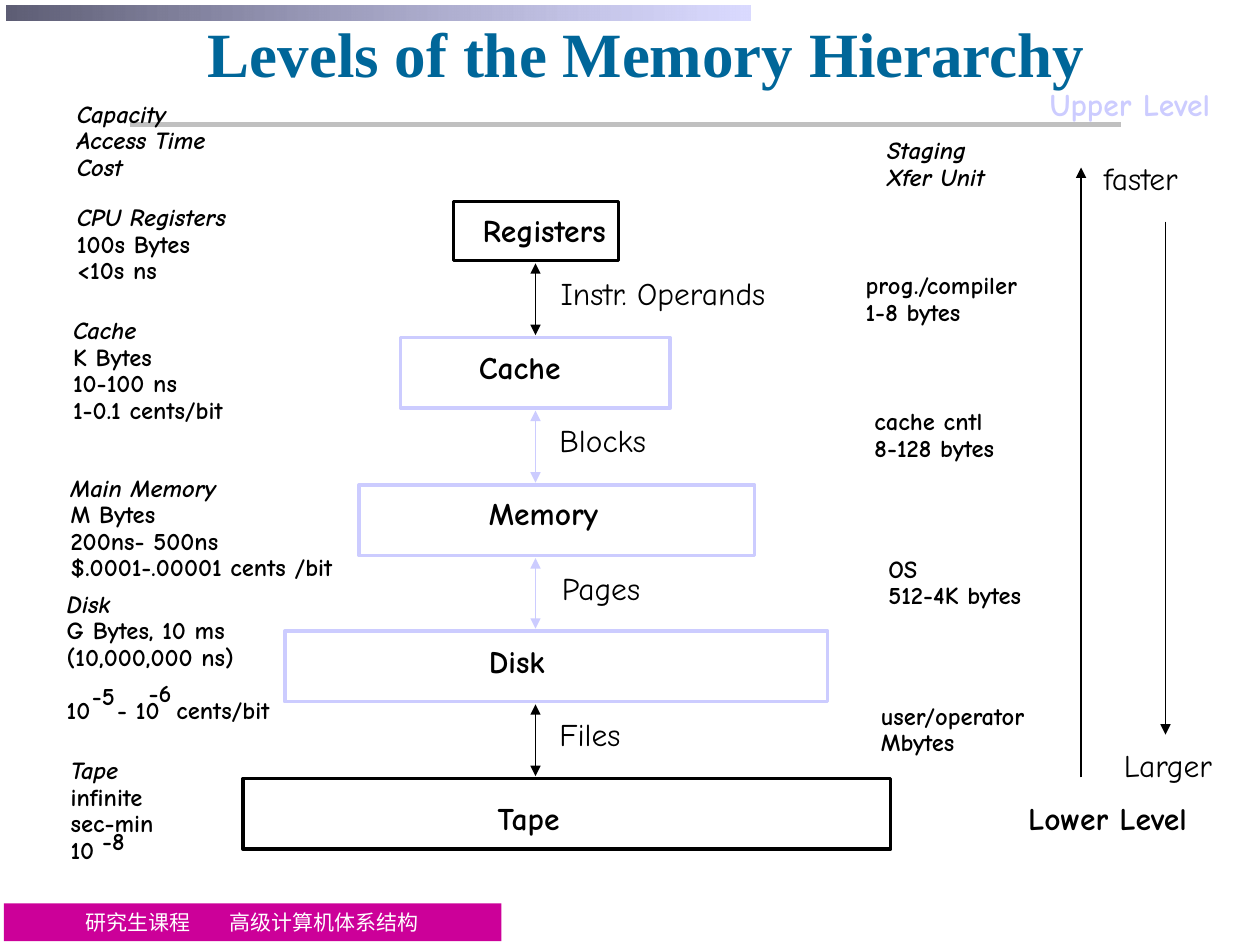
from lxml.etree import SubElement
from pptx import Presentation
from pptx.dml.color import RGBColor
from pptx.enum.shapes import MSO_CONNECTOR, MSO_SHAPE
from pptx.enum.text import MSO_ANCHOR, MSO_AUTO_SIZE, PP_ALIGN
from pptx.oxml.ns import qn
from pptx.util import Pt

SCALE = 9144  # EMU per px, 100 px to the inch
TEXT_SLACK = 8  # spare width that keeps every line whole
BLACK = RGBColor(0x00, 0x00, 0x00)
WHITE = RGBColor(0xFF, 0xFF, 0xFF)
LAVENDER = RGBColor(0xCC, 0xCC, 0xFF)
SLATE = RGBColor(0x5E, 0x5E, 0x75)
SILVER = RGBColor(0xC0, 0xC0, 0xC0)
MAGENTA = RGBColor(0xCC, 0x00, 0x99)
TEAL = RGBColor(0x00, 0x66, 0x99)
HAND_FONT = "Comic Neue"
SERIF_FONT = "Times New Roman"


def px(*lengths):
    return [round(length * SCALE) for length in lengths]


def add_run(paragraph, text, size, color, font=HAND_FONT, bold=False, italic=False):
    run = paragraph.add_run()
    run.text = text
    run.font.name = font
    run.font.size = Pt(size)
    run.font.bold = bold
    run.font.italic = italic
    run.font.color.rgb = color


def add_tabs(paragraph, *stops):
    tab_list = SubElement(paragraph._p.get_or_add_pPr(), qn("a:tabLst"))
    for position in px(*stops):
        SubElement(tab_list, qn("a:tab"), pos=str(position), algn="l")


def add_text(slide, left, top, width, lines, size=14, color=BLACK, bold=True, italics=0):
    """Stack the lines in one box; the first `italics` of them are slanted."""
    height = 31 if size == 18 else 6 + 21 * len(lines)
    box = slide.shapes.add_textbox(*px(left, top, width + TEXT_SLACK, height))
    frame = box.text_frame
    frame.word_wrap = True
    frame.auto_size = MSO_AUTO_SIZE.NONE
    frame.margin_left, frame.margin_right = px(7, 7)
    frame.margin_top, frame.margin_bottom = px(3, 3)
    for index, line in enumerate(lines):
        paragraph = frame.add_paragraph() if index else frame.paragraphs[0]
        paragraph.line_spacing = 0.85 if size == 18 else 0.9
        add_run(paragraph, line, size, color, bold=bold, italic=index < italics)
    return frame


def add_line(slide, ends, color, width, arrows=()):
    line = slide.shapes.add_connector(MSO_CONNECTOR.STRAIGHT, *px(*ends))
    line.line.color.rgb = color
    line.line.width = Pt(width)
    properties = line._element.spPr
    for end in arrows:
        SubElement(properties.find(qn("a:ln")), qn(f"a:{end}"), type="triangle")
    SubElement(properties, qn("a:effectLst"))


def add_rectangle(slide, box):
    shape = slide.shapes.add_shape(MSO_SHAPE.RECTANGLE, *px(*box))
    shape.shadow.inherit = False
    return shape


def draw_header(slide, left, top):
    bar = add_rectangle(slide, (left, top, 591, 12))
    bar.line.fill.background()
    bar.fill.gradient()
    bar.fill.gradient_angle = 180
    for stop, color in zip(bar.fill.gradient_stops, (LAVENDER, SLATE)):
        stop.color.rgb = color
    light = next(bar._element.iter(qn("a:gs")))
    SubElement(light[0], qn("a:alpha"), val="72000")
    add_line(slide, (left + 98, top + 95, left + 885, top + 95), SILVER, 2.75)

    title = slide.shapes.title
    title.left, title.top, title.width, title.height = px(left + 22, top + 15, 972, 45)
    frame = title.text_frame
    frame.auto_size = MSO_AUTO_SIZE.NONE
    frame.vertical_anchor = MSO_ANCHOR.MIDDLE
    paragraph = frame.paragraphs[0]
    paragraph.alignment = PP_ALIGN.CENTER
    add_run(paragraph, "Levels of the Memory Hierarchy", 36, TEAL, SERIF_FONT, bold=True)


def draw_footer(slide, box):
    band = add_rectangle(slide, box)
    band.fill.solid()
    band.fill.fore_color.rgb = MAGENTA
    band.line.fill.background()
    frame = band.text_frame
    frame.word_wrap = True
    frame.vertical_anchor = MSO_ANCHOR.TOP
    frame.margin_left = px(65)[0]
    paragraph = frame.paragraphs[0]
    paragraph.alignment = PP_ALIGN.LEFT
    add_tabs(paragraph, 114)
    add_run(paragraph, "研究生课程\t高级计算机体系结构", 12, WHITE, SERIF_FONT)


def draw_capacities(slide, left, top):
    """Left column: capacity, access time and cost of each level."""
    blocks = [
        (8, 0, 116, ["Capacity", "Access Time", "Cost"], 3),
        (8, 82, 133, ["CPU Registers", "100s Bytes", "<10s ns"], 1),
        (5, 172, 133, ["Cache", "K Bytes", "10-100 ns", "1-0.1 cents/bit"], 1),
        (3, 297, 222, ["Main Memory", "M Bytes", "200ns- 500ns",
                       "$.0001-.00001 cents /bit"], 1),
        (3, 521, 80, ["Tape", "infinite", "sec-min", "10"], 1),
    ]
    for x, y, width, lines, italics in blocks:
        add_text(slide, left + x, top + y, width, lines, italics=italics)

    disk_lines = ["Disk", "G Bytes, 10 ms", "(10,000,000 ns)", "10\t- 10\tcents/bit"]
    disk = add_text(slide, left, top + 389, 175, disk_lines, italics=1)
    cost = disk.paragraphs[-1]
    cost.space_before = Pt(15)
    add_tabs(cost, 40, 87)

    for x, y, exponent in [(20, 462, "-5"), (65, 460, "-6"), (28, 577, "-8")]:
        add_text(slide, left + x, top + y, 32, [exponent])


def draw_levels(slide, left, top):
    """Boxes widening downwards, with the unit moved between neighbours."""
    levels = [  # name, box, label, colour
        ("Registers", (167, 0, 131, 47), (183, 9, 112), BLACK),
        ("Cache", (125, 108, 214, 56), (180, 118, 79), LAVENDER),
        ("Memory", (92, 225, 314, 56), (188, 234, 101), LAVENDER),
        ("Disk", (33, 341, 431, 56), (188, 351, 58), LAVENDER),
        ("Tape", (0, 458, 514, 56), (195, 476, 65), BLACK),
    ]
    for name, (x, y, width, height), (label_x, label_y, label_width), color in levels:
        box = add_rectangle(slide, (left + x, top + y, width, height))
        box.fill.background()
        box.line.color.rgb = color
        box.line.width = Pt(2)
        add_text(slide, left + label_x, top + label_y, label_width, [name], 18)

    units = [("Instr. Operands", 245, 179, BLACK), ("Blocks", 244, 83, LAVENDER),
             ("Pages", 246, 77, LAVENDER), ("Files", 244, 62, BLACK)]
    gap, axis = 2, left + 232
    for (unit, x, width, color), upper, lower in zip(units, levels, levels[1:]):
        start = top + upper[1][1] + upper[1][3] + gap
        end = top + lower[1][1] - gap
        add_line(slide, (axis, start, axis, end), color, 1, ("headEnd", "tailEnd"))
        add_text(slide, left + x, start + 10, width, [unit], 18, bold=False)


def draw_transfers(slide, left, top):
    """Who moves the data between levels, and in what amounts."""
    blocks = [
        (17, 0, 92, ["Staging", "Xfer Unit"], 2),
        (0, 107, 136, ["prog./compiler", "1-8 bytes"], 0),
        (7, 215, 110, ["cache cntl", "8-128 bytes"], 0),
        (18, 332, 120, ["OS", "512-4K bytes"], 0),
        (12, 449, 130, ["user/operator", "Mbytes"], 0),
    ]
    for x, y, width, lines, italics in blocks:
        add_text(slide, left + x, top + y, width, lines, italics=italics)


def draw_trends(slide, left, top):
    """Right edge: faster upwards, larger downwards."""
    add_text(slide, left + 17, top, 142, ["Upper Level"], 18, LAVENDER)
    add_text(slide, left, top + 567, 140, ["Lower Level"], 18)
    add_text(slide, left + 60, top + 59, 74, ["faster"], 18, bold=False)
    add_text(slide, left + 76, top + 525, 85, ["Larger"], 18, bold=False)
    for x, start, end in [(49, 548, 64), (116, 107, 514)]:
        add_line(slide, (left + x, top + start, left + x, top + end), BLACK, 1, ("tailEnd",))


def main():
    presentation = Presentation()
    presentation.slide_width, presentation.slide_height = px(1000, 750)
    slide = presentation.slides.add_slide(presentation.slide_layouts[5])
    draw_footer(slide, (3, 717, 395, 30))
    draw_header(slide, 5, 4)
    draw_capacities(slide, 46, 78)
    draw_levels(slide, 193, 160)
    draw_transfers(slide, 680, 107)
    draw_trends(slide, 809, 69)
    presentation.save("out.pptx")


if __name__ == "__main__":
    main()
